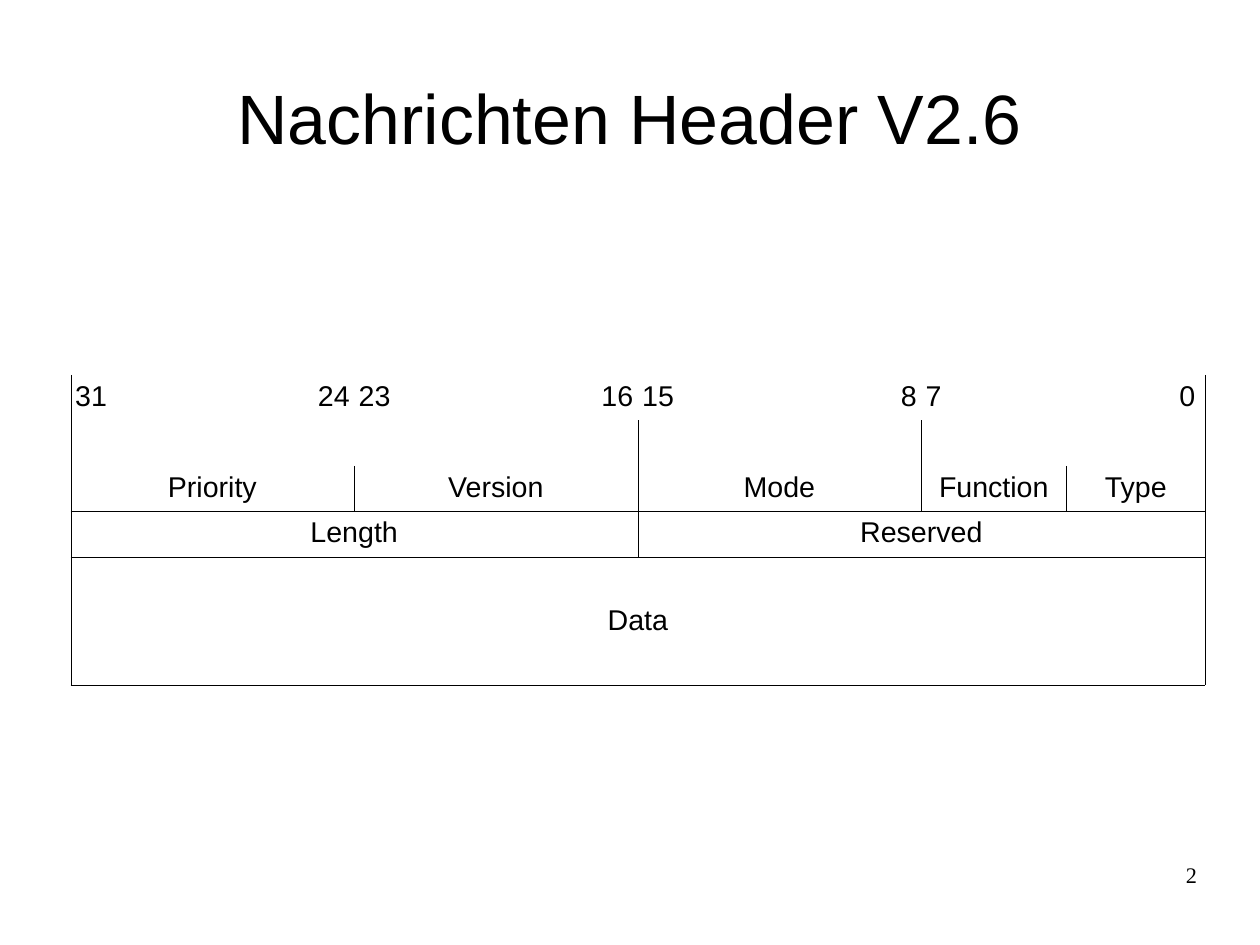
from pptx import Presentation
from pptx import util as u
from pptx.dml.color import RGBColor
from pptx.enum import text as t
from pptx.oxml.ns import qn
from lxml import etree

BLACK, WHITE = "000000", "FFFFFF"
LEFT, CENTER, RIGHT = t.PP_ALIGN.LEFT, t.PP_ALIGN.CENTER, t.PP_ALIGN.RIGHT
MIDDLE, TOP = t.MSO_ANCHOR.MIDDLE, t.MSO_ANCHOR.TOP

BIT_WIDTHS = [3.15] * 6 + [3.23, 2.29, 0.79]
ROW_HEIGHTS = [1.01] * 4 + [2.85]

# Each field: text, columns spanned, alignment, ruled sides
HEADER_ROWS = [
    [("31", 1, LEFT, "L"), ("24", 1, RIGHT, ""), ("23", 1, LEFT, ""),
     ("16", 1, RIGHT, ""), ("15", 1, LEFT, ""), ("8", 1, RIGHT, ""),
     ("7", 2, LEFT, ""), ("0", 1, CENTER, "R")],
    [("", 2, CENTER, "L"), ("", 2, CENTER, "R"), ("", 2, CENTER, "LR"),
     ("", 3, CENTER, "LR")],
    [("Priority", 2, CENTER, "LRB"), ("Version", 2, CENTER, "LRB"),
     ("Mode", 2, CENTER, "LRB"), ("Function", 1, CENTER, "LRB"),
     ("Type", 2, CENTER, "LRB")],
    [("Length", 4, CENTER, "LRTB"), ("Reserved", 5, CENTER, "LRTB")],
    [("Data", 9, CENTER, "LRTB")],
]


def color(hex_value):
    return RGBColor.from_string(hex_value)


def apply_format(target, values):
    for name, value in values.items():
        setattr(target, name, value)


def write(frame, wording, size, align, font_name="Arial"):
    paragraph = frame.paragraphs[0]
    paragraph.alignment = align
    run = paragraph.add_run()
    run.text = wording
    apply_format(run.font, {"size": u.Pt(size), "name": font_name})
    run.font.color.rgb = color(BLACK)


def add_label(slide, box, wording, size, align, anchor, font_name="Arial"):
    frame = slide.shapes.add_textbox(*map(u.Cm, box)).text_frame
    apply_format(frame, {"word_wrap": True, "vertical_anchor": anchor,
                         "margin_left": 0, "margin_right": 0,
                         "margin_top": 0, "margin_bottom": 0})
    write(frame, wording, size, align, font_name)


def rule_cell(cell, sides):
    """Fill a cell and draw hairlines on the given sides only."""
    cell.fill.background()
    properties = cell._tc.get_or_add_tcPr()
    for position, side in enumerate("LRTB"):
        line = etree.Element(qn(f"a:ln{side}"), w=str(u.Pt(0.06)))
        if side in sides:
            fill = etree.SubElement(line, qn("a:solidFill"))
            etree.SubElement(fill, qn("a:srgbClr"), val=BLACK)
        else:
            etree.SubElement(line, qn("a:noFill"))
        properties.insert(position, line)
    cell.fill.solid()
    cell.fill.fore_color.rgb = color(WHITE)


def add_field(table, row, column, wording, span, align, sides):
    field = table.cell(row, column)
    last = column + span - 1
    if span > 1:
        field.merge(table.cell(row, last))
    apply_format(field, {"margin_left": u.Cm(0.1), "margin_right": u.Cm(0.1),
                         "margin_top": u.Cm(0.12), "margin_bottom": u.Cm(0.12),
                         "vertical_anchor": MIDDLE if wording == "Data" else TOP})
    if wording:
        write(field.text_frame, wording, 18, align)
    else:
        apply_format(field, {"margin_top": 0, "margin_bottom": 0})

    # Covered cells carry the outer sides of the merged field
    rule_cell(field, sides)
    for covered in range(column + 1, last + 1):
        hidden = "L" if covered == last else "LR"
        rule_cell(table.cell(row, covered),
                  [side for side in sides if side not in hidden])


def add_header_table(slide):
    table = slide.shapes.add_table(
        len(ROW_HEIGHTS), len(BIT_WIDTHS), u.Cm(1.57), u.Cm(8.33),
        u.Cm(sum(BIT_WIDTHS)), u.Cm(sum(ROW_HEIGHTS))).table
    apply_format(table, {"first_row": False, "horz_banding": False})
    for column, width in zip(table.columns, BIT_WIDTHS):
        column.width = u.Cm(width)
    for row, height in zip(table.rows, ROW_HEIGHTS):
        row.height = u.Cm(height)
    for row, fields in enumerate(HEADER_ROWS):
        column = 0
        for wording, span, align, sides in fields:
            add_field(table, row, column, wording, span, align, sides)
            column += span


def main():
    deck = Presentation()
    apply_format(deck, {"slide_width": u.Cm(28), "slide_height": u.Cm(21)})
    slide = deck.slides.add_slide(deck.slide_layouts[6])

    # Title
    add_label(slide, (1.4, 0.84, 25.2, 3.5), "Nachrichten Header V2.6",
              44, CENTER, MIDDLE)
    # Message layout
    add_header_table(slide)
    # Page number
    add_label(slide, (20.07, 19.13, 6.53, 1.45), "2", 14, RIGHT, TOP,
              "Times New Roman")

    deck.save("out.pptx")


if __name__ == "__main__":
    main()
